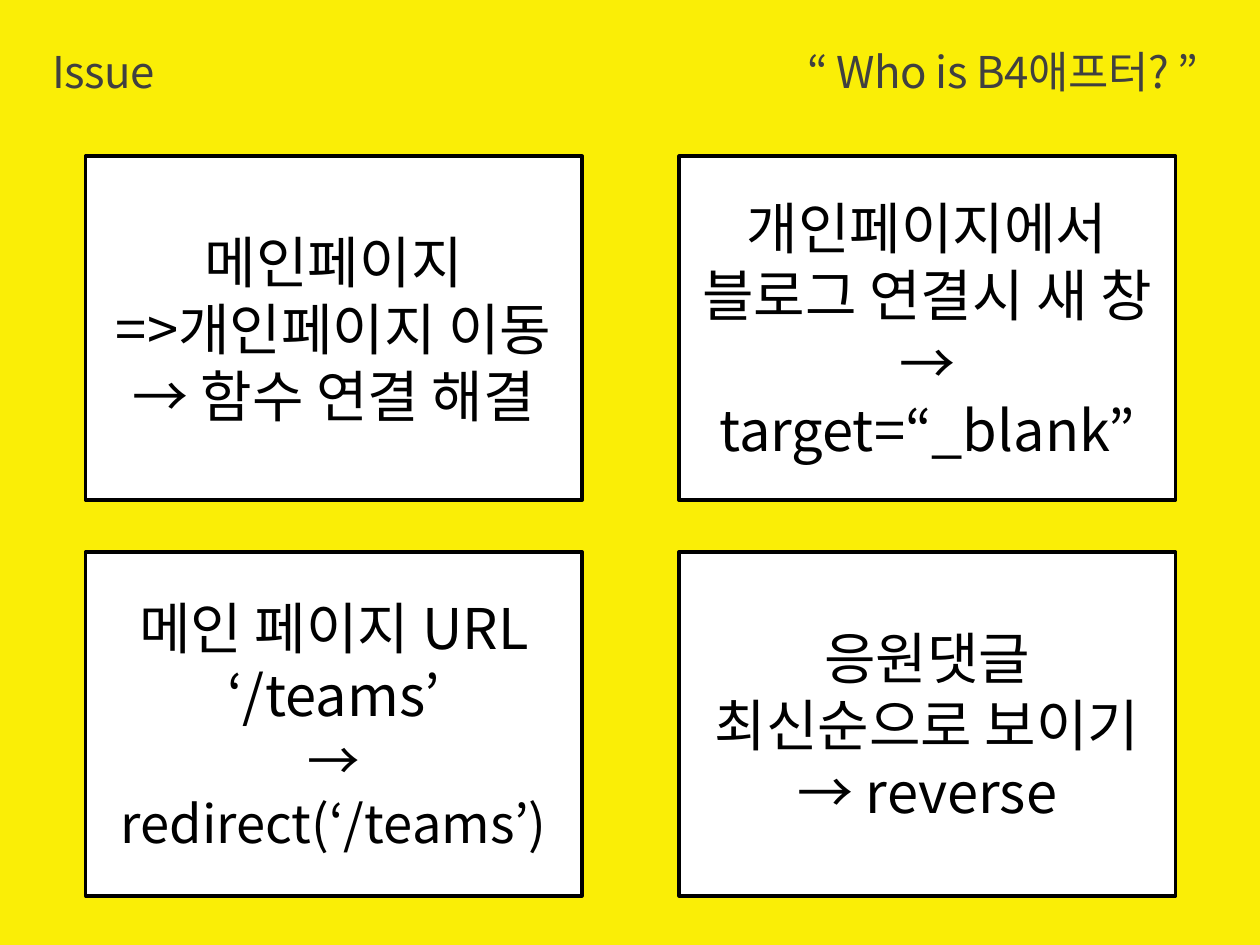
from lxml.etree import SubElement
from pptx import Presentation
from pptx.dml.color import RGBColor
from pptx.enum.shapes import MSO_SHAPE
from pptx.enum.text import MSO_ANCHOR, MSO_AUTO_SIZE, PP_ALIGN
from pptx.oxml.ns import qn
from pptx.util import Inches, Pt

FONT = "Noto Sans CJK KR"
YELLOW, WHITE, BLACK, GRAY = "FAEE06", "FFFFFF", "000000", "404040"

# Each issue: paragraphs as (text, size)
ISSUES = [
    [("메인페이지", 32), ("=>개인페이지 이동", 32), ("→ 함수 연결 해결", 32)],
    [("개인페이지에서", 32), ("블로그 연결시 새 창", 32), ("→ target=“_blank”", 32)],
    [("메인 페이지 URL ‘/teams’", 32), ("→ redirect(‘/teams’)", 30)],
    [("응원댓글", 32), ("최신순으로 보이기", 32), ("→ reverse", 32)],
]


def rgb(color):
    return RGBColor.from_string(color)


def style_run(r, size, color, spacing=None):
    r.font.size = Pt(size)
    r.font.name = FONT
    r.font.color.rgb = rgb(color)
    rPr = r.font._element
    SubElement(rPr, qn("a:ea")).set("typeface", FONT)
    if spacing is not None:
        rPr.set("spc", str(round(spacing * 100)))


def add_panel(s, box, fill, line=None):
    sp = s.shapes.add_shape(MSO_SHAPE.RECTANGLE, *box)
    sp.shadow.inherit = False
    sp.fill.solid()
    sp.fill.fore_color.rgb = rgb(fill)
    if line:
        sp.line.color.rgb = rgb(line)
        sp.line.width = Pt(2)
    else:
        sp.line.fill.background()
    return sp


def add_heading(s, box, text):
    tf = s.shapes.add_textbox(*box).text_frame
    tf.word_wrap = True
    tf.auto_size = MSO_AUTO_SIZE.SHAPE_TO_FIT_TEXT
    tf.text = text
    style_run(tf.paragraphs[0].runs[0], 25, GRAY, spacing=-0.3)


def add_header(s, box):
    """Place the section name at the left end and the slogan at the right."""
    left, top, width, height = box
    label_w = Inches(3.34)
    add_heading(s, (left, top, label_w, height), "Issue")
    add_heading(s, (left + width - label_w, top, label_w, height), "“ Who is B4애프터? ”")


def add_issue(s, box, lines):
    tf = add_panel(s, box, WHITE, BLACK).text_frame
    tf.word_wrap = True
    tf.vertical_anchor = MSO_ANCHOR.MIDDLE
    for i, (text, size) in enumerate(lines):
        p = tf.paragraphs[0] if i == 0 else tf.add_paragraph()
        p.text = text
        p.alignment = PP_ALIGN.CENTER
        style_run(p.runs[0], size, BLACK)


def add_issue_grid(s, box, issues, columns=2):
    """Spread equal cards over the box, flush with its edges."""
    left, top, width, height = box
    card_w, card_h = Inches(3.94), Inches(2.73)
    rows = len(issues) // columns
    step_x = (width - card_w) // (columns - 1)
    step_y = (height - card_h) // (rows - 1)
    for i, lines in enumerate(issues):
        row, col = divmod(i, columns)
        add_issue(s, (left + col * step_x, top + row * step_y, card_w, card_h), lines)


def main():
    prs = Presentation()
    prs.slide_width, prs.slide_height = Inches(10), Inches(7.5)
    s = prs.slides.add_slide(prs.slide_layouts[6])
    add_panel(s, (0, 0, prs.slide_width, prs.slide_height), YELLOW)
    add_header(s, (Inches(0.32), Inches(0.31), Inches(9.33), Inches(0.52)))
    add_issue_grid(s, (Inches(0.68), Inches(1.24), Inches(8.65), Inches(5.87)), ISSUES)
    prs.save("out.pptx")


if __name__ == "__main__":
    main()
